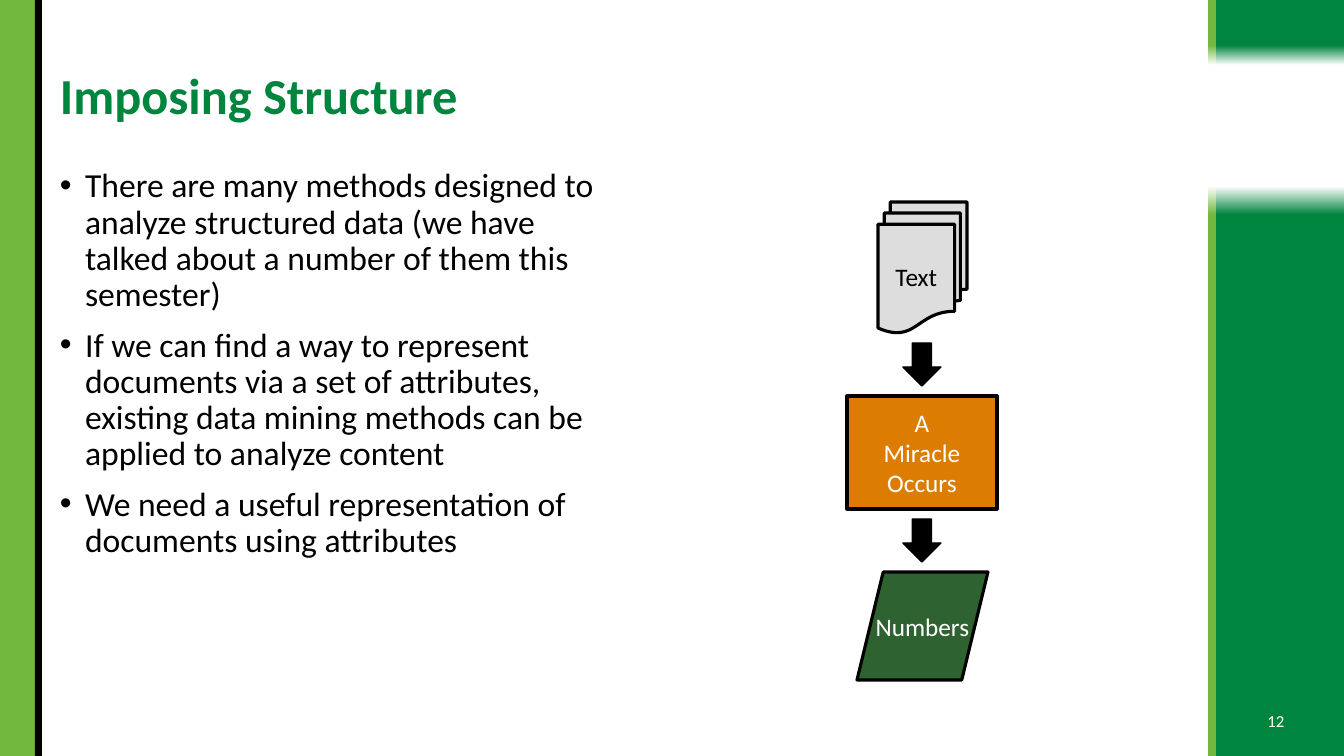
from dataclasses import dataclass

from lxml.etree import SubElement
from pptx import Presentation
from pptx.dml.color import RGBColor
from pptx.enum.shapes import MSO_SHAPE as Shape
from pptx.enum.text import MSO_ANCHOR as Anchor, PP_ALIGN as Align
from pptx.oxml.ns import qn
from pptx.util import Emu, Pt

SCALE = 914400 / 100.8
WIDTH, HEIGHT = 1344, 756


@dataclass(frozen=True)
class Theme:
    font: str = "Calibri"
    green: str = "00853E"
    lime: str = "72B83E"
    black: str = "000000"
    white: str = "FFFFFF"
    paper: str = "DDDDDD"
    orange: str = "DC7D01"
    forest: str = "2F6231"
    title: int = 36
    body: int = 24
    label: int = 18
    number: int = 12


THEME = Theme()
BULLETS = (
    "There are many methods designed to analyze structured data "
    "(we have talked about a number of them this semester)",
    "If we can find a way to represent documents via a set of attributes, "
    "existing data mining methods can be applied to analyze content",
    "We need a useful representation of documents using attributes",
)
ARROW = (Shape.DOWN_ARROW, 38, 43, THEME.black, 1, (), THEME.black)
FLOW = (
    (Shape.FLOWCHART_MULTIDOCUMENT, 89, 131, THEME.paper, 2.25, ("Text",), THEME.black),
    ARROW,
    (Shape.FLOWCHART_PROCESS, 150, 113, THEME.orange, 2.25, ("A", "Miracle", "Occurs"), THEME.white),
    ARROW,
    (Shape.FLOWCHART_DATA, 131, 108, THEME.forest, 2.25, ("Numbers",), THEME.white),
)
FLOW_CENTRE, FLOW_TOP, FLOW_GAP = 922, 202, 10


def px(pixels):
    return Emu(round(pixels * SCALE))


def rgb(colour):
    return RGBColor.from_string(colour)


def add_shape(page, kind, area, colour):
    shape = page.shapes.add_shape(kind, *map(px, area))
    shape.shadow.inherit = False
    shape.fill.solid()
    shape.fill.fore_color.rgb = rgb(colour)
    shape.line.fill.background()
    return shape


def add_fading_bar(page, area, colour, fade_start, rotation):
    bar = add_shape(page, Shape.RECTANGLE, area, colour)
    bar.rotation = rotation
    bar.fill.gradient()
    bar.fill.gradient_angle = 270
    stops = ((fade_start, colour), (1, THEME.white))
    for stop, (position, shade) in zip(bar.fill.gradient_stops, stops):
        stop.position = position
        stop.color.rgb = rgb(shade)


def write(frame, lines, size, colour, align=Align.LEFT, bold=False, spacing=None):
    for index, line in enumerate(lines):
        para = frame.paragraphs[0] if index == 0 else frame.add_paragraph()
        para.text = line
        para.alignment = align
        para.line_spacing = spacing
        para.font.name = THEME.font
        para.font.size = Pt(size)
        para.font.bold = bold
        para.font.color.rgb = rgb(colour)


def add_text(page, area, lines, size, colour, anchor=Anchor.MIDDLE, **style):
    box = page.shapes.add_textbox(*map(px, area))
    frame = box.text_frame
    frame.word_wrap = True
    frame.vertical_anchor = anchor
    write(frame, lines, size, colour, **style)
    return frame


def add_bullets(frame):
    for para in frame.paragraphs:
        para.space_before = Pt(10)
        properties = para._p.get_or_add_pPr()
        properties.set("marL", "228600")
        properties.set("indent", "-228600")
        SubElement(properties, qn("a:buFont"), typeface="Arial")
        SubElement(properties, qn("a:buChar"), char="•")


def add_flow(page):
    top = FLOW_TOP
    for kind, width, height, fill, weight, lines, ink in FLOW:
        area = (FLOW_CENTRE - width // 2, top, width, height)
        step = add_shape(page, kind, area, fill)
        step.line.color.rgb = rgb(THEME.black)
        step.line.width = Pt(weight)
        step.text_frame.word_wrap = False
        step.text_frame.vertical_anchor = Anchor.MIDDLE
        write(step.text_frame, lines, THEME.label, ink, Align.CENTER)
        top += height + FLOW_GAP


def add_side_bars(page):
    for left, width, colour in ((1216, 128, THEME.green), (1208, 8, THEME.lime)):
        add_fading_bar(page, (left, 0, width, 65), colour, 0.7, 0)
        add_fading_bar(page, (left, 186, width, HEIGHT - 186), colour, 0.95, 180)
    for left, width, colour in ((0, 35, THEME.lime), (35, 7, THEME.black)):
        add_shape(page, Shape.RECTANGLE, (left, 0, width, HEIGHT), colour)


def main():
    deck = Presentation()
    deck.slide_width, deck.slide_height = px(WIDTH), px(HEIGHT)
    page = deck.slides.add_slide(deck.slide_layouts[6])
    add_side_bars(page)
    add_text(page, (50, 40, 1149, 117), ["Imposing Structure"], THEME.title,
             THEME.green, bold=True, spacing=0.9)
    body = add_text(page, (50, 164, 562, 517), BULLETS, THEME.body,
                    THEME.black, Anchor.TOP, spacing=0.9)
    add_bullets(body)
    add_text(page, (1250, 701, 52, 40), ["12"], THEME.number, THEME.white,
             align=Align.CENTER)
    add_flow(page)
    deck.save("out.pptx")


main()
